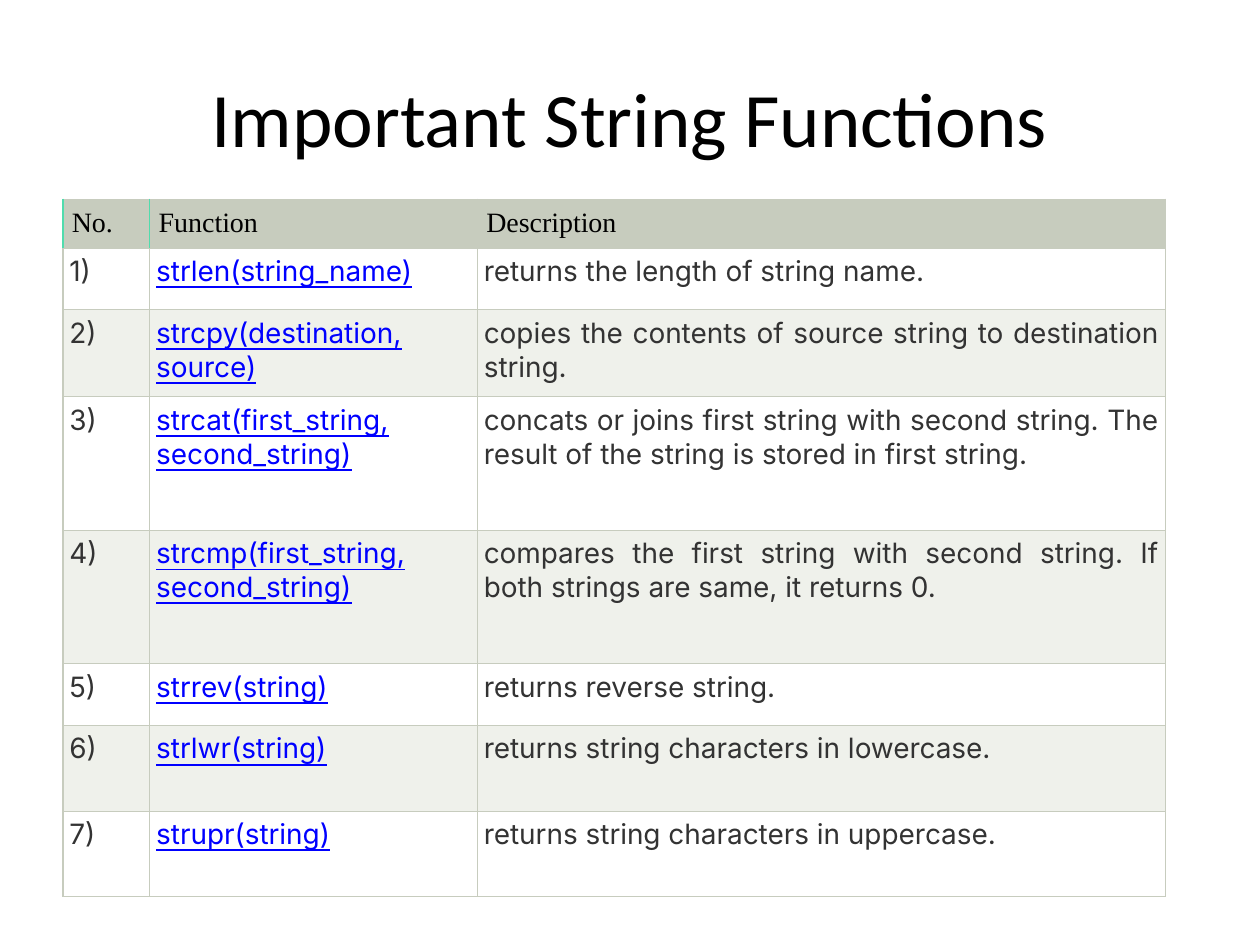
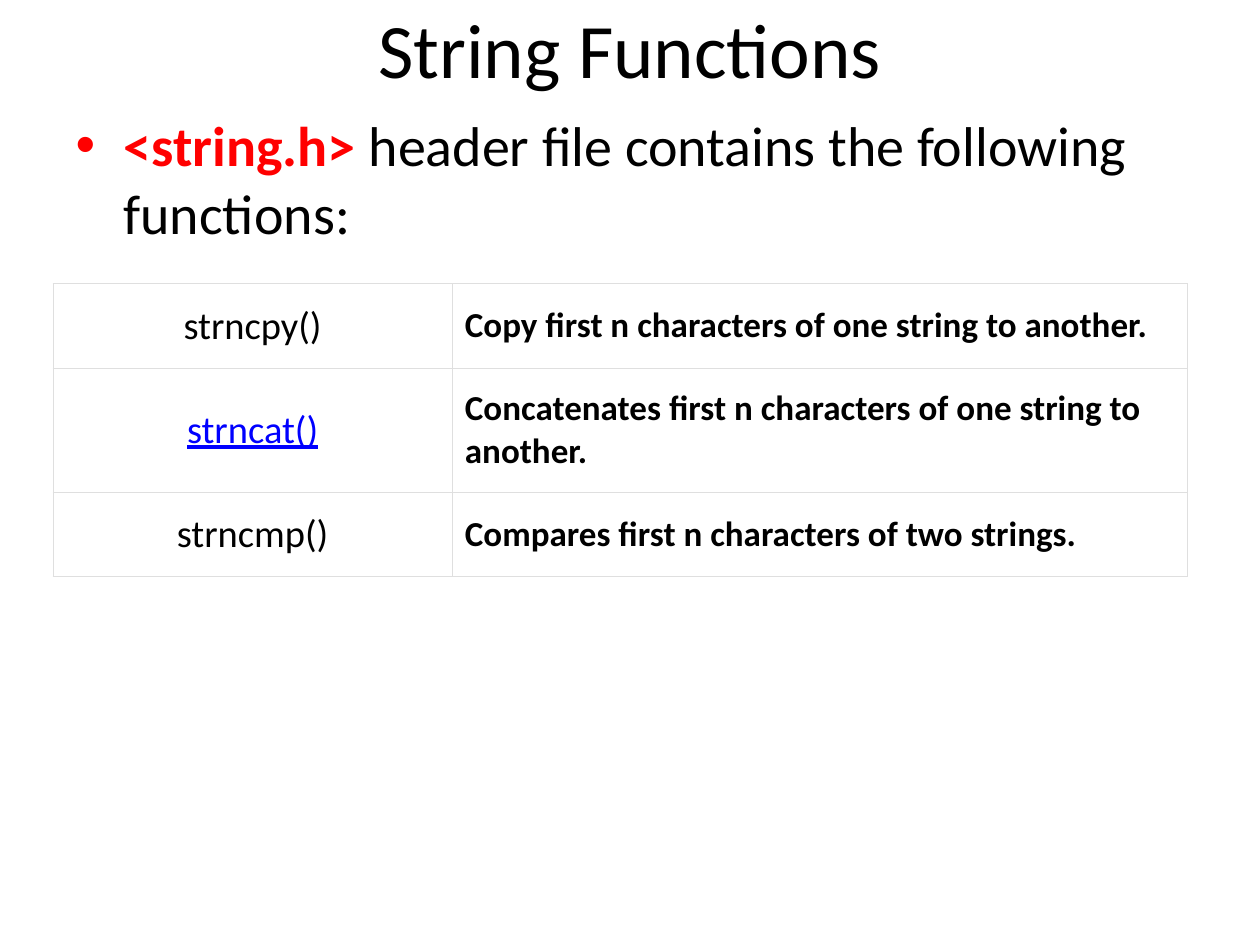
from dataclasses import dataclass

from lxml import etree
from pptx import Presentation
from pptx.dml.color import RGBColor
from pptx.enum.text import MSO_ANCHOR, PP_ALIGN
from pptx.oxml.ns import qn
from pptx.util import Inches, Pt

LEFT, CENTER, JUSTIFY = PP_ALIGN.LEFT, PP_ALIGN.CENTER, PP_ALIGN.JUSTIFY
TOP, MIDDLE = MSO_ANCHOR.TOP, MSO_ANCHOR.MIDDLE
TITLE_AND_CONTENT, TITLE_ONLY = 1, 5


@dataclass(frozen=True)
class Theme:
    black: str = "000000"
    white: str = "FFFFFF"
    gray_text: str = "333333"
    link: str = "0000FF"
    accent: str = "FF0000"
    sage: str = "C7CCBE"
    pale_sage: str = "EFF1EB"
    mint: str = "50DCAD"
    light_rule: str = "DFDFDF"
    main_font: str = "Calibri"
    header_font: str = "Times New Roman"
    reference_font: str = "Inter"
    title_size: int = 44
    body_size: int = 32
    name_size: int = 22
    summary_size: int = 20
    reference_size: int = 16


THEME = Theme()


def text_format(font, size, color=THEME.black, **extra):
    return {"name": font, "size": Pt(size), "color": color, **extra}


TITLE = text_format(THEME.main_font, THEME.title_size)
BODY = text_format(THEME.main_font, THEME.body_size, bold=False)
BODY_ACCENT = {**BODY, "color": THEME.accent, "bold": True}
HEADER = text_format(THEME.header_font, THEME.reference_size, bold=False)
REFERENCE = text_format(THEME.reference_font, THEME.reference_size, THEME.gray_text)
REFERENCE_LINK = {**REFERENCE, "color": THEME.link, "underline": True}
NAME = text_format(THEME.main_font, THEME.name_size)
NAME_LINK = {**NAME, "color": THEME.link, "underline": True}
SUMMARY = text_format(THEME.main_font, THEME.summary_size, bold=True)

REFERENCE_HEADINGS = ["No.", "Function", "Description"]
REFERENCE_ROWS = [
    ("strlen(string_name)", "returns the length of string name.", 0.49),
    ("strcpy(destination, source)",
     "copies the contents of source string to destination string.", 0.69),
    ("strcat(first_string, second_string)",
     "concats or joins first string with second string. "
     "The result of the string is stored in first string.", 1.06),
    ("strcmp(first_string, second_string)",
     "compares the first string with second string. "
     "If both strings are same, it returns 0.", 1.06),
    ("strrev(string)", "returns reverse string.", 0.49),
    ("strlwr(string)", "returns string characters in lowercase.", 0.68),
    ("strupr(string)", "returns string characters in uppercase.", 0.68),
]
BOUNDED_ROWS = [
    ("strncpy()", NAME, "Copy first n characters of one string to another.", 0.67),
    ("strncat()", NAME_LINK,
     "Concatenates first n characters of one string to another.", 0.97),
    ("strncmp()", NAME, "Compares first n characters of two strings.", 0.67),
]


def add_run(paragraph, text, style):
    run = paragraph.add_run()
    run.text = text
    for attribute, value in style.items():
        if attribute == "color":
            run.font.color.rgb = RGBColor.from_string(value)
        else:
            setattr(run.font, attribute, value)


def place(shape, left, top, width, height):
    shape.left, shape.top = Inches(left), Inches(top)
    shape.width, shape.height = Inches(width), Inches(height)


def add_titled_slide(deck, layout, title, top):
    slide = deck.slides.add_slide(deck.slide_layouts[layout])
    heading = slide.shapes.title
    place(heading, 0.5, top, 9, 1.25)
    heading.text_frame.vertical_anchor = MIDDLE
    paragraph = heading.text_frame.paragraphs[0]
    paragraph.alignment = CENTER
    add_run(paragraph, title, TITLE)
    return slide


def fill_bullet(body, runs):
    place(body, 0.5, 0.83, 9, 4.95)
    paragraph = body.text_frame.paragraphs[0]
    properties = paragraph._p.get_or_add_pPr()
    properties.set("marL", str(Inches(0.38)))
    properties.set("indent", str(Inches(-0.38)))
    paragraph.space_before = Pt(0)
    etree.SubElement(properties, qn("a:buFont"), typeface="Arial")
    etree.SubElement(properties, qn("a:buChar"), char="•")
    for text, style in runs:
        add_run(paragraph, text, style)


def add_plain_table(slide, left, top, widths, heights):
    """Add a table of the given column widths and row heights, without banding."""
    table = slide.shapes.add_table(
        len(heights), len(widths), Inches(left), Inches(top),
        Inches(sum(widths)), Inches(sum(heights))).table
    table.first_row = table.horz_banding = False
    for column, width in zip(table.columns, widths):
        column.width = Inches(width)
    for row, height in zip(table.rows, heights):
        row.height = Inches(height)
    return table


def draw_borders(cell, colors, width):
    """Draw the cell's edges; colors maps each of L, R, T and B to a colour."""
    properties = cell._tc.get_or_add_tcPr()
    for side in "LRTB":
        line = etree.SubElement(properties, qn(f"a:ln{side}"), w=str(Pt(width)))
        fill = etree.SubElement(line, qn("a:solidFill"))
        etree.SubElement(fill, qn("a:srgbClr"), val=colors[side])


def fill_cell(cell, text, style, fill, borders, border_width, align, anchor, insets):
    draw_borders(cell, borders, border_width)
    cell.fill.solid()
    cell.fill.fore_color.rgb = RGBColor.from_string(fill)
    horizontal, vertical = (Inches(inset) for inset in insets)
    layout = {
        "margin_left": horizontal, "margin_right": horizontal,
        "margin_top": vertical, "margin_bottom": vertical,
        "vertical_anchor": anchor,
    }
    for attribute, value in layout.items():
        setattr(cell, attribute, value)
    paragraph = cell.text_frame.paragraphs[0]
    paragraph.alignment = align
    add_run(paragraph, text, style)


def add_reference_table(slide):
    heights = [0.39] + [height for *_, height in REFERENCE_ROWS]
    table = add_plain_table(slide, 0.5, 1.58, [0.69, 2.6, 5.46], heights)
    sage_edges = dict.fromkeys("LRTB", THEME.sage)
    mint_sides = ["LR", "L", ""]
    for column, (heading, sides) in enumerate(zip(REFERENCE_HEADINGS, mint_sides)):
        edges = {**sage_edges, **dict.fromkeys(sides, THEME.mint)}
        fill_cell(table.cell(0, column), heading, HEADER, THEME.sage,
                  edges, 0.75, LEFT, TOP, (0.07, 0.07))
    styles = [REFERENCE, REFERENCE_LINK, REFERENCE]
    for number, (function, description, _) in enumerate(REFERENCE_ROWS, start=1):
        band = THEME.white if number % 2 else THEME.pale_sage
        texts = [f"{number})", function, description]
        for column, (text, style) in enumerate(zip(texts, styles)):
            fill_cell(table.cell(number, column), text, style, band,
                      sage_edges, 0.75, JUSTIFY, TOP, (0.05, 0.05))


def add_bounded_table(slide):
    heights = [height for *_, height in BOUNDED_ROWS]
    table = add_plain_table(slide, 0.42, 2.25, [3.17, 5.83], heights)
    edges = dict.fromkeys("LRTB", THEME.light_rule)
    for row, (function, name_style, summary, _) in enumerate(BOUNDED_ROWS):
        contents = [(function, name_style, CENTER), (summary, SUMMARY, LEFT)]
        for column, (text, style, align) in enumerate(contents):
            fill_cell(table.cell(row, column), text, style, THEME.white,
                      edges, 0.23, align, MIDDLE, (0.1, 0.15))


def main():
    deck = Presentation()
    deck.slide_width, deck.slide_height = Inches(10), Inches(7.5)

    reference = add_titled_slide(deck, TITLE_ONLY, "Important String Functions", 0.3)
    add_reference_table(reference)

    bounded = add_titled_slide(deck, TITLE_AND_CONTENT, "String Functions", -0.25)
    fill_bullet(bounded.placeholders[1], [
        ("<string.h> ", BODY_ACCENT),
        ("header file contains the following functions:", BODY),
    ])
    add_bounded_table(bounded)

    deck.save("out.pptx")


if __name__ == "__main__":
    main()
